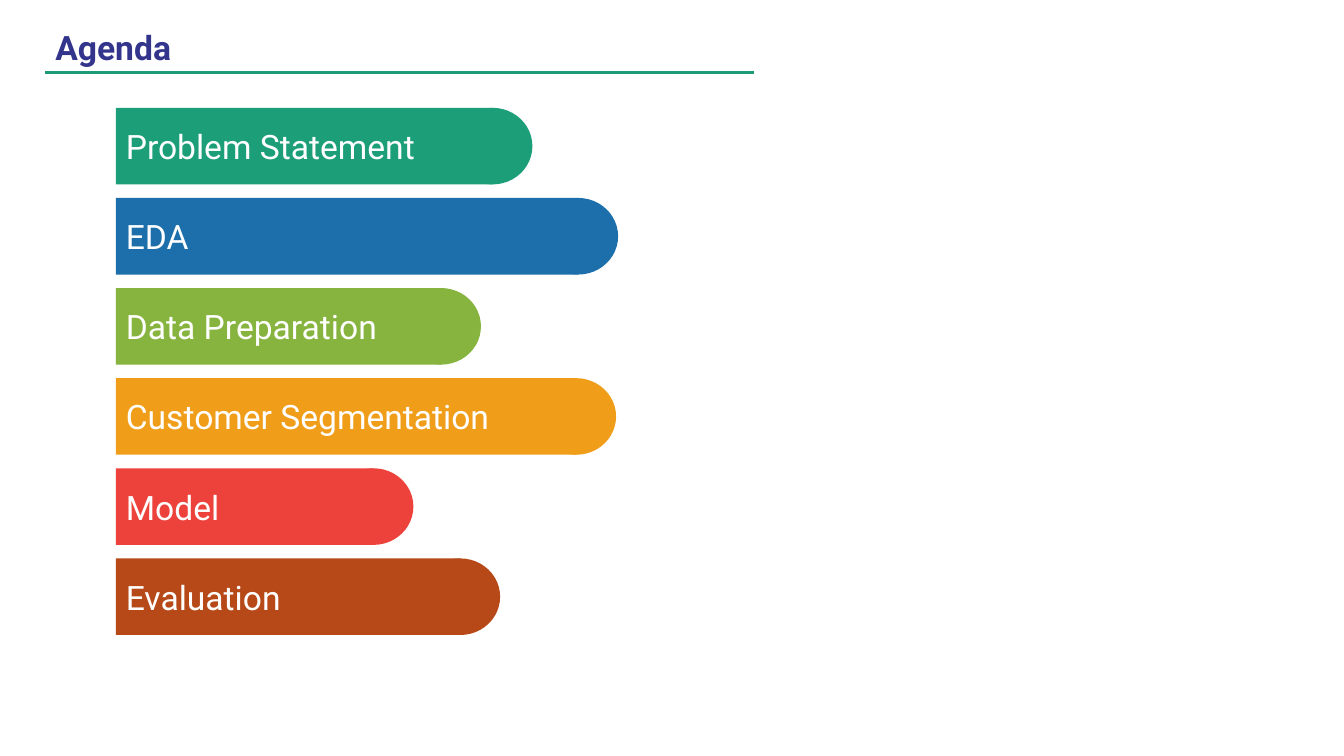
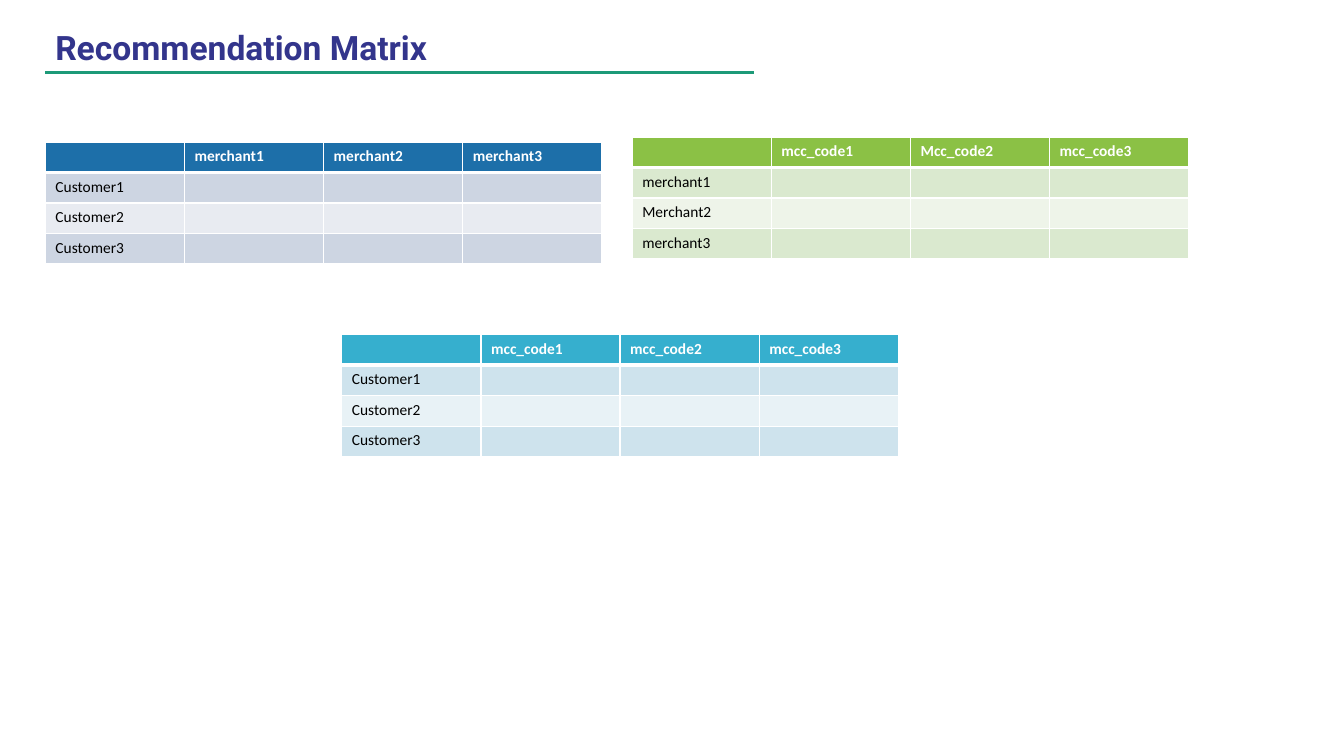
from dataclasses import dataclass

from lxml.etree import SubElement
from pptx import Presentation
from pptx.dml.color import RGBColor
from pptx.enum.shapes import MSO_CONNECTOR, MSO_SHAPE
from pptx.enum.text import MSO_ANCHOR, MSO_AUTO_SIZE, PP_ALIGN
from pptx.oxml.ns import qn
from pptx.util import Inches, Pt


@dataclass(frozen=True)
class Theme:
    title: str = "33358C"
    rule: str = "1D9A78"
    white: str = "FFFFFF"
    black: str = "000000"
    heading_font: str = "Roboto"
    table_font: str = "Calibri"
    heading_size: int = 24
    table_size: int = 11
    rule_width: float = 2.25
    grid_width: int = 1
    header_rule_width: int = 3


THEME = Theme()

# label, colour, left edge of the round cap
AGENDA = [
    ("Problem Statement", "1C9F79", 4.49),
    ("EDA", "1C6FAA", 5.34),
    ("Data Preparation", "86B43F", 3.98),
    ("Customer Segmentation", "F09D19", 5.32),
    ("Model", "ED423B", 3.31),
    ("Evaluation", "B74919", 4.17),
]
BAR_LEFT, BAR_HEIGHT, CAP_WIDTH = 1.15, 0.76, 0.79
FIRST_BAR_TOP, LAST_BAR_TOP = 1.07, 5.54

MATRICES = [
    {
        "at": (0.45, 1.41),
        "columns": ["merchant1", "merchant2", "merchant3"],
        "rows": ["Customer1", "Customer2", "Customer3"],
        "header": "1D6FA9",
        "bands": ("CDD5E2", "E8EBF1"),
    },
    {
        "at": (6.27, 1.36),
        "columns": ["mcc_code1", "Mcc_code2", "mcc_code3"],
        "rows": ["merchant1", "Merchant2", "merchant3"],
        "header": "8BC145",
        "bands": ("DAE9CF", "EEF4E9"),
    },
    {
        "at": (3.39, 3.32),
        "columns": ["mcc_code1", "mcc_code2", "mcc_code3"],
        "rows": ["Customer1", "Customer2", "Customer3"],
        "header": "36AFCE",
        "bands": ("CEE3ED", "E8F2F6"),
    },
]
TABLE_WIDTH, TABLE_HEIGHT = 5.52, 1.21


def paint(target, color):
    target.fill.solid()
    target.fill.fore_color.rgb = RGBColor.from_string(color)


def write(frame, text, color, **font_format):
    para = frame.paragraphs[0]
    para.alignment = PP_ALIGN.LEFT
    span = para.add_run()
    span.text = text
    for name, value in font_format.items():
        setattr(span.font, name, value)
    span.font.color.rgb = RGBColor.from_string(color)


def add_titled_page(deck, title, title_width):
    page = deck.slides.add_slide(deck.slide_layouts[6])
    rule = page.shapes.add_connector(
        MSO_CONNECTOR.STRAIGHT, Inches(0.45), Inches(0.72), Inches(7.48), Inches(0.72))
    rule.line.color.rgb = RGBColor.from_string(THEME.rule)
    rule.line.width = Pt(THEME.rule_width)
    SubElement(rule._element.spPr, qn("a:effectLst"))

    box = page.shapes.add_textbox(
        Inches(0.45), Inches(0.22), Inches(title_width), Inches(0.5))
    box.text_frame.word_wrap = False
    box.text_frame.auto_size = MSO_AUTO_SIZE.SHAPE_TO_FIT_TEXT
    write(box.text_frame, title, THEME.title,
          name=THEME.heading_font, size=Pt(THEME.heading_size), bold=True)
    return page


def add_flat_shape(shapes, kind, color, *bounds):
    shape = shapes.add_shape(kind, *map(Inches, bounds))
    shape.shadow.inherit = False
    shape.line.fill.background()
    paint(shape, color)
    return shape


def add_agenda(page):
    """Each bar runs to the middle of its round cap."""
    bars = page.shapes.add_group_shape().shapes
    pitch = (LAST_BAR_TOP - FIRST_BAR_TOP) / (len(AGENDA) - 1)
    for index, (label, color, cap_left) in enumerate(AGENDA):
        top = FIRST_BAR_TOP + index * pitch
        bar_width = cap_left + CAP_WIDTH / 2 - BAR_LEFT
        add_flat_shape(bars, MSO_SHAPE.OVAL, color, cap_left, top, CAP_WIDTH, BAR_HEIGHT)
        bar = add_flat_shape(
            bars, MSO_SHAPE.RECTANGLE, color, BAR_LEFT, top, bar_width, BAR_HEIGHT)
        bar.text_frame.vertical_anchor = MSO_ANCHOR.MIDDLE
        write(bar.text_frame, label, THEME.white,
              name=THEME.heading_font, size=Pt(THEME.heading_size))


def set_borders(cell, row_index):
    header_rule_side = {0: "lnB", 1: "lnT"}.get(row_index)
    properties = cell._tc.get_or_add_tcPr()
    for side in ("lnL", "lnR", "lnT", "lnB"):
        is_header_rule = side == header_rule_side
        width = THEME.header_rule_width if is_header_rule else THEME.grid_width
        border = SubElement(properties, qn(f"a:{side}"), w=str(Pt(width)))
        fill = SubElement(border, qn("a:solidFill"))
        SubElement(fill, qn("a:srgbClr"), val=THEME.white)


def set_empty_text_size(cell):
    """Keep the default text size of an empty cell from stretching its row."""
    SubElement(cell.text_frame.paragraphs[0]._p, qn("a:endParaRPr"),
               sz=str(THEME.table_size * 100))


def add_matrix(page, matrix):
    grid = [["", *matrix["columns"]]]
    grid += [[label] + [""] * len(matrix["columns"]) for label in matrix["rows"]]
    table = page.shapes.add_table(
        len(grid), len(grid[0]), *map(Inches, (*matrix["at"], TABLE_WIDTH, TABLE_HEIGHT))).table
    for row_index, texts in enumerate(grid):
        is_header = row_index == 0
        fill = matrix["header"] if is_header else matrix["bands"][(row_index - 1) % 2]
        for column_index, text in enumerate(texts):
            cell = table.cell(row_index, column_index)
            set_borders(cell, row_index)
            paint(cell, fill)
            if text:
                write(cell.text_frame, text, THEME.white if is_header else THEME.black,
                      name=THEME.table_font, size=Pt(THEME.table_size), bold=is_header)
            else:
                set_empty_text_size(cell)


def main():
    deck = Presentation()
    deck.slide_width, deck.slide_height = Inches(13.33), Inches(7.5)
    add_agenda(add_titled_page(deck, "Agenda", 1.55))
    matrix_page = add_titled_page(deck, "Recommendation Matrix", 4.53)
    for matrix in MATRICES:
        add_matrix(matrix_page, matrix)
    deck.save("out.pptx")


if __name__ == "__main__":
    main()
